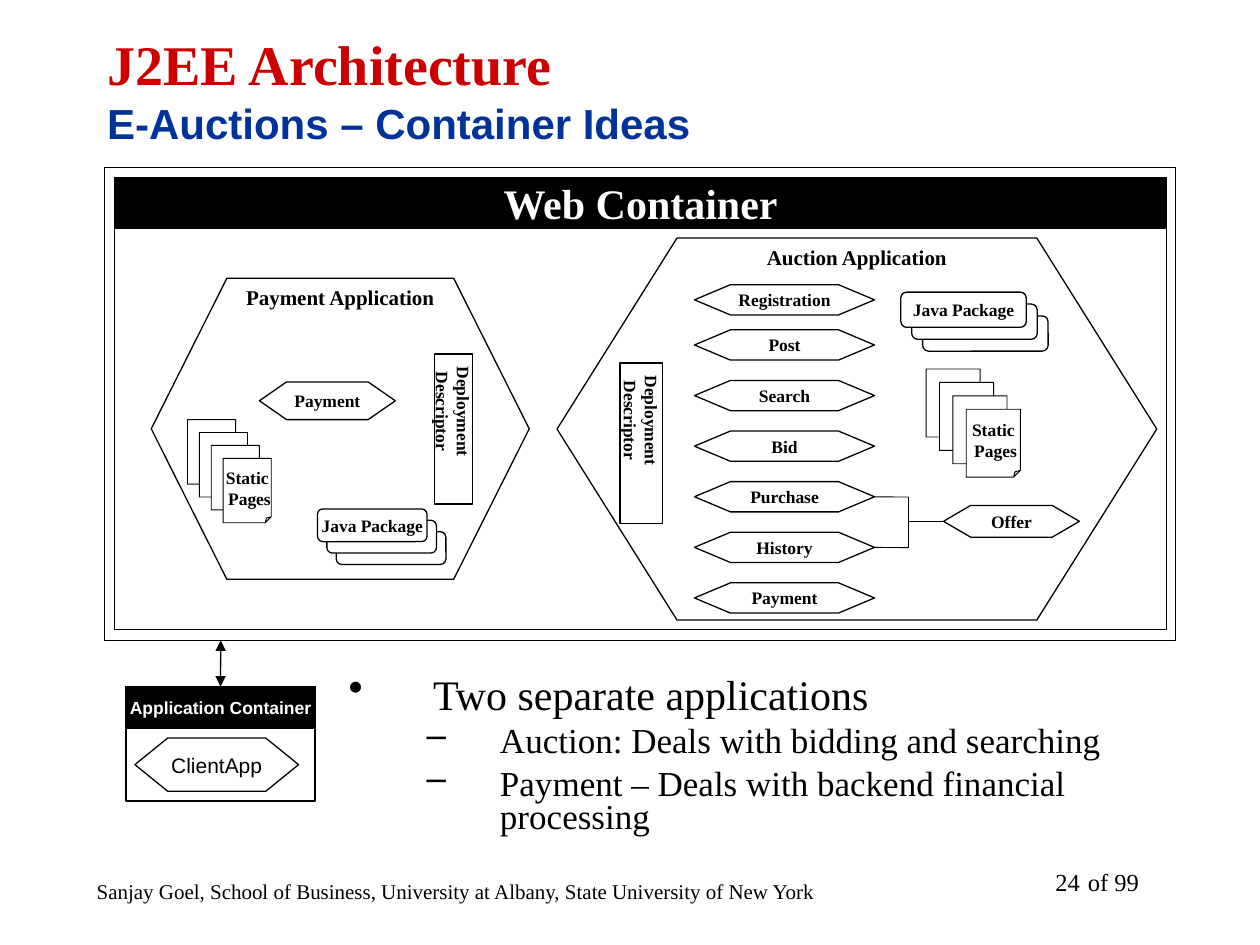
from lxml import etree
from pptx import Presentation
from pptx.dml.color import RGBColor
from pptx.enum.shapes import MSO_CONNECTOR, MSO_SHAPE
from pptx.enum.text import MSO_ANCHOR, PP_ALIGN
from pptx.oxml.ns import qn
from pptx.util import Cm, Pt

BLACK = RGBColor(0x00, 0x00, 0x00)
WHITE = RGBColor(0xFF, 0xFF, 0xFF)
RED = RGBColor(0xCC, 0x00, 0x00)
NAVY = RGBColor(0x00, 0x33, 0x99)

HEXAGON = MSO_SHAPE.FLOWCHART_PREPARATION
RECTANGLE = MSO_SHAPE.RECTANGLE
ROUNDED = MSO_SHAPE.ROUNDED_RECTANGLE
PAGE = MSO_SHAPE.FOLDED_CORNER
STRAIGHT = MSO_CONNECTOR.STRAIGHT
TOP, MIDDLE = MSO_ANCHOR.TOP, MSO_ANCHOR.MIDDLE
LEFT, CENTER, RIGHT = PP_ALIGN.LEFT, PP_ALIGN.CENTER, PP_ALIGN.RIGHT
SITE_TOP, SITE_LEFT, SITE_RIGHT = 0, 1, 3


class Diagram:
    serif = "Times New Roman"
    sans = "Arial"
    thin = 0.5
    normal = 0.75

    def __init__(self, slide):
        self.slide = slide

    def run(self, paragraph, text, size, color=BLACK, font=None, bold=False):
        run = paragraph.add_run()
        run.text = text
        run.font.name = font or self.serif
        run.font.size = Pt(size)
        run.font.bold = bold
        run.font.color.rgb = color

    def text_box(self, left, top, width, height, anchor=TOP):
        """Add an empty wrapping box and return its text frame."""
        box = self.slide.shapes.add_textbox(Cm(left), Cm(top), Cm(width), Cm(height))
        frame = box.text_frame
        frame.word_wrap = True
        frame.vertical_anchor = anchor
        return frame

    def caption(self, text, left, top, width, size, align=LEFT):
        paragraph = self.text_box(left, top, width, 1.27).paragraphs[0]
        paragraph.alignment = align
        self.run(paragraph, text, size)

    def bullet(self, paragraph, text, mark, size, level, margin, hanging, before=0):
        properties = paragraph._p.get_or_add_pPr()
        properties.set("marL", str(Cm(margin)))
        properties.set("indent", str(-Cm(hanging)))
        etree.SubElement(properties, qn("a:buChar")).set("char", mark)
        paragraph.level = level
        paragraph.line_spacing = 0.8
        paragraph.space_before = Pt(before)
        self.run(paragraph, text, size)

    def shape(self, kind, left, top, width, height, lines=(), size=10, color=BLACK,
              font=None, bold=True, fill=WHITE, weight=normal, anchor=MIDDLE, wrap=False):
        shape = self.slide.shapes.add_shape(kind, Cm(left), Cm(top), Cm(width), Cm(height))
        shape.shadow.inherit = False
        if fill is None:
            shape.fill.background()
        else:
            shape.fill.solid()
            shape.fill.fore_color.rgb = fill
        shape.line.color.rgb = BLACK
        shape.line.width = Pt(weight)
        frame = shape.text_frame
        frame.word_wrap = wrap
        frame.vertical_anchor = anchor
        for index, line in enumerate(lines):
            paragraph = frame.add_paragraph() if index else frame.paragraphs[0]
            paragraph.alignment = CENTER
            self.run(paragraph, line, size, color, font, bold)
        return shape

    def application(self, name, left, top, width, height):
        self.shape(HEXAGON, left, top, width, height, [name], size=12, anchor=TOP, wrap=True)

    def component(self, name, left, top, width, height):
        return self.shape(HEXAGON, left, top, width, height, [name])

    def descriptor(self, left, top, width, height):
        """Add the upright deployment descriptor, read from top to bottom."""
        frame = self.shape(RECTANGLE, left, top, width, height,
                           ["Deployment Descriptor"], wrap=True).text_frame
        frame.margin_left = frame.margin_right = Cm(0.13)
        frame.margin_top = frame.margin_bottom = Cm(0.25)
        frame._txBody.bodyPr.set("vert", "eaVert")

    def packages(self, left, top, width, height, dx, dy):
        """Stack three cards; the front one is at left, top."""
        for depth in (2, 1, 0):
            self.shape(ROUNDED, left + depth * dx, top + depth * dy, width, height,
                       [] if depth else ["Java Package"])

    def pages(self, left, top, width, height, dx, dy):
        """Stack four sheets; the rear one is at left, top."""
        for step in range(4):
            sheet = self.shape(PAGE, left + step * dx, top + step * dy, width, height,
                               ["Static", " Pages"] if step == 3 else [],
                               weight=self.thin, wrap=True)
            geometry = sheet._element.spPr.find(qn("a:prstGeom"))
            fold = etree.SubElement(geometry.find(qn("a:avLst")), qn("a:gd"))
            fold.set("name", "adj")
            fold.set("fmla", "val 12500")
            frame = sheet.text_frame
            frame.margin_left = frame.margin_right = 0
            frame.margin_top = frame.margin_bottom = 0

    def line(self, x1, y1, x2, y2, begin=None, end=None, weight=thin, arrows=False):
        """Draw a line; begin and end are (shape, site) pairs to join."""
        line = self.slide.shapes.add_connector(STRAIGHT, Cm(x1), Cm(y1), Cm(x2), Cm(y2))
        line.line.color.rgb = BLACK
        line.line.width = Pt(weight)
        if arrows:
            outline = line.line._get_or_add_ln()
            for tag in ("a:headEnd", "a:tailEnd"):
                etree.SubElement(outline, qn(tag)).set("type", "triangle")
        etree.SubElement(line._element.spPr, qn("a:effectLst"))
        if begin:
            line.begin_connect(*begin)
        if end:
            line.end_connect(*end)


def add_texts(diagram):
    diagram.caption("Sanjay Goel, School of Business, University at Albany, "
                    "State University of New York", 1.7, 17.58, 15.88, 12)
    diagram.caption("of 99", 21.39, 17.35, 2.11, 14, CENTER)
    diagram.caption("24", 18.21, 17.35, 3.81, 14, RIGHT)

    points = diagram.text_box(6.78, 13.54, 17.98, 4.01)
    diagram.bullet(points.paragraphs[0], "Two separate applications", "•", 24, 0, 1.7, 1.7)
    for detail in ("Auction: Deals with bidding and searching",
                   "Payment – Deals with backend financial processing"):
        diagram.bullet(points.add_paragraph(), detail, "–", 20, 1, 3.05, 1.48, before=5)

    title = diagram.text_box(1.91, 0.2, 21.59, 3.18, MIDDLE).paragraphs[0]
    diagram.run(title, "J2EE Architecture", 32, RED, bold=True)
    title.add_line_break()
    diagram.run(title, "E-Auctions – Container Ideas", 24, NAVY, diagram.sans, True)


def add_auction(diagram):
    diagram.application("Auction Application", 11.23, 4.8, 12.09, 7.7)
    left, width, height = 14, 3.63, 0.61
    diagram.component("Registration", left, 5.74, width, height)
    services = {}
    for row, name in enumerate(("Post", "Search", "Bid", "Purchase", "History", "Payment")):
        services[name] = diagram.component(name, left, 6.65 + row * 1.02, width, height)
    diagram.descriptor(12.5, 7.32, 0.86, 3.23)
    diagram.packages(18.16, 5.89, 2.53, 0.71, 0.22, 0.24)

    offer = diagram.component("Offer", 19.02, 10.19, 2.74, 0.64)
    joint, purchase_y, history_y, offer_y = 18.31, 10.02, 11.04, 10.51
    for name, y in (("Purchase", purchase_y), ("History", history_y)):
        diagram.line(left + width, y, joint, y, begin=(services[name], SITE_RIGHT))
    diagram.line(joint, history_y, joint, purchase_y)
    diagram.line(joint, offer_y, 19.02, offer_y, end=(offer, SITE_LEFT))
    diagram.pages(18.67, 7.44, 1.09, 1.37, 0.27, 0.27)


def add_payment(diagram):
    diagram.application("Payment Application", 3.05, 5.61, 7.62, 6.07)
    diagram.packages(6.4, 10.26, 2.21, 0.66, 0.19, 0.23)
    diagram.pages(3.78, 8.46, 0.97, 1.3, 0.24, 0.26)
    diagram.component("Payment", 5.23, 7.7, 2.74, 0.76)
    diagram.descriptor(8.76, 7.14, 0.76, 3.02)


def add_containers(diagram):
    diagram.shape(RECTANGLE, 2.11, 3.38, 21.59, 9.53, fill=None, weight=diagram.thin)
    diagram.shape(RECTANGLE, 2.31, 3.58, 21.21, 9.12, fill=None, weight=diagram.thin)
    diagram.shape(RECTANGLE, 2.31, 3.58, 21.21, 1.02, ["Web Container"],
                  size=24, color=WHITE, fill=BLACK)

    header = diagram.shape(RECTANGLE, 2.54, 13.84, 3.81, 0.84, ["Application Container"],
                           color=WHITE, font=diagram.sans, fill=BLACK)
    diagram.shape(RECTANGLE, 2.54, 14.68, 3.81, 1.47)
    diagram.shape(HEXAGON, 2.72, 14.88, 3.3, 1.07, ["ClientApp"],
                  size=12, font=diagram.sans, bold=False)
    diagram.line(4.45, 12.91, 4.45, 13.84, end=(header, SITE_TOP),
                 weight=diagram.normal, arrows=True)


def main():
    deck = Presentation()
    deck.slide_width, deck.slide_height = Cm(25.4), Cm(19.05)
    diagram = Diagram(deck.slides.add_slide(deck.slide_layouts[6]))
    add_texts(diagram)
    add_auction(diagram)
    add_payment(diagram)
    add_containers(diagram)
    deck.save("out.pptx")


if __name__ == "__main__":
    main()
